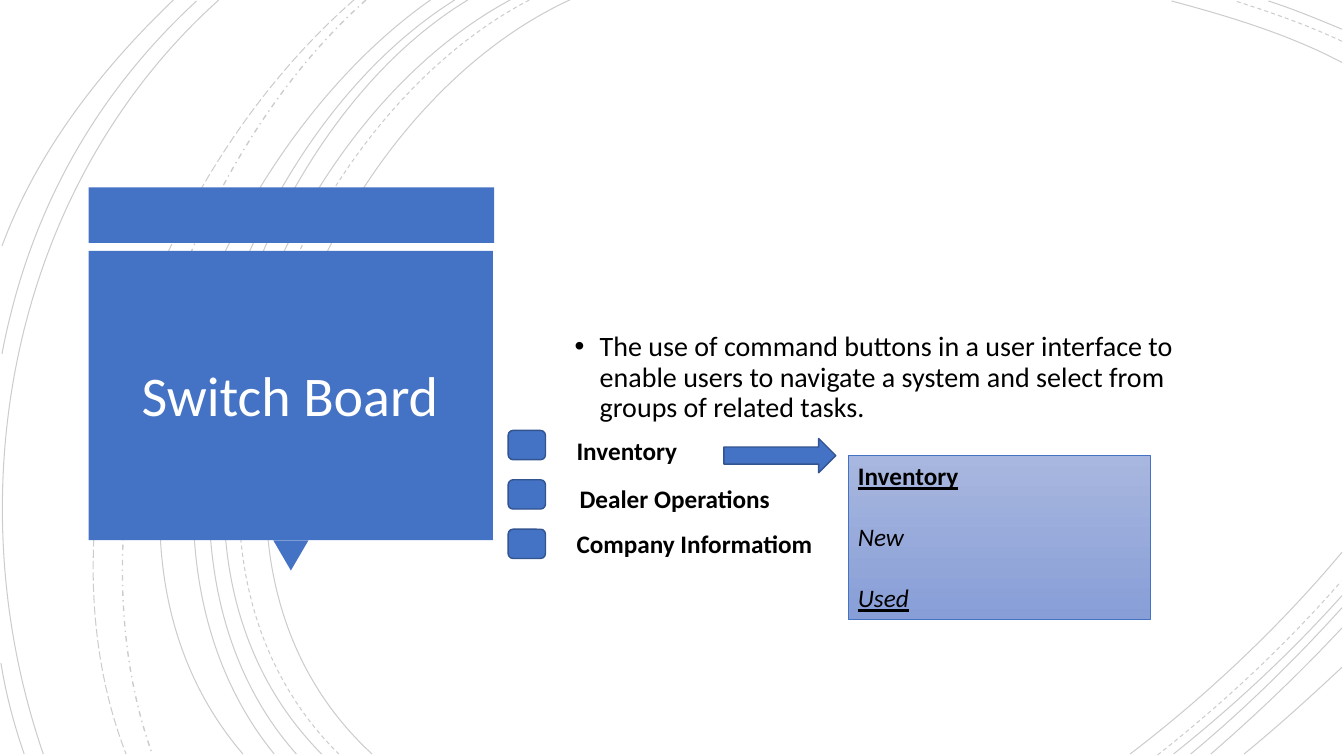
from lxml import etree
from pptx import Presentation
from pptx import util as u
from pptx.dml.color import RGBColor
from pptx.enum import dml, shapes, text
from pptx.oxml import ns

PX = 9144
FONT = "Calibri"
BLUE = RGBColor(0x44, 0x72, 0xC4)
EDGE = RGBColor(0x32, 0x54, 0x91)
PANEL_TOP = RGBColor(0xA8, 0xB7, 0xDF)
PANEL_END = RGBColor(0x88, 0x9E, 0xD7)
BLACK = RGBColor(0, 0, 0)
WHITE = RGBColor(0xFF, 0xFF, 0xFF)
SHAPE = shapes.MSO_SHAPE
DASH = dml.MSO_LINE

SOLID_ARCS = [
    (565, 0, 315, 115, 143, 540, 369, 748),
    (1331, 62, 1278, 34, 1218, 16, 1162, 1),
    (1121, 748, 1197, 690, 1269, 622, 1331, 548),
    (506, 0, 270, 127, 110, 537, 319, 748),
    (1331, 29, 1307, 19, 1283, 9, 1258, 1),
    (1164, 748, 1223, 701, 1280, 648, 1331, 591),
    (464, 0, 244, 133, 110, 541, 294, 748),
    (1181, 748, 1234, 704, 1284, 655, 1331, 603),
    (451, 0, 231, 138, 97, 533, 272, 748),
    (1201, 748, 1246, 709, 1290, 667, 1331, 623),
    (427, 0, 217, 147, 53, 529, 241, 748),
    (1234, 748, 1267, 721, 1299, 692, 1331, 662),
    (217, 0, 11, 185, -46, 490, 43, 748),
    (195, 1, 92, 96, 28, 214, 2, 351),
    (1, 658, 6, 689, 14, 719, 24, 748),
    (172, 0, 100, 69, 37, 150, 2, 244),
]
DASHED_ARCS = [
    (525, 0, 285, 125, 123, 537, 336, 748),
    (1331, 41, 1297, 25, 1260, 12, 1225, 1),
    (1148, 749, 1213, 698, 1275, 640, 1330, 577),
]
DASH_DOT_ARC = (363, 0, 176, 166, 65, 509, 151, 748)
LONG_DASH_ARC = (351, 0, 157, 169, 29, 499, 125, 748)


def box(*lengths):
    return [n * PX for n in lengths]


def add_arc(s, points, dash, width=0.75):
    start, *rest = zip(points[::2], points[1::2])
    builder = s.shapes.build_freeform(*start, scale=PX)
    builder.add_line_segments(rest, close=False)
    sp = builder.convert_to_shape()
    sp.shadow.inherit = False
    sp.fill.background()
    sp.line.color.rgb = BLACK
    sp.line.width = u.Pt(width)
    sp.line.dash_style = dash
    color = sp.line._ln.find(".//" + ns.qn("a:srgbClr"))
    etree.SubElement(color, ns.qn("a:alpha"), val="20000")
    outline = sp._element.find(".//" + ns.qn("a:path"))
    curve = etree.SubElement(outline, ns.qn("a:cubicBezTo"))
    for segment in outline.findall(ns.qn("a:lnTo")):
        curve.append(segment[0])
        outline.remove(segment)


def add_block(s, kind, place, edge=None, width=1):
    sp = s.shapes.add_shape(kind, *box(*place))
    sp.shadow.inherit = False
    sp.fill.solid()
    sp.fill.fore_color.rgb = BLUE
    if edge is None:
        sp.line.fill.background()
    else:
        sp.line.color.rgb = edge
        sp.line.width = u.Pt(width)
    return sp


def add_run(p, words, size, color=BLACK, bold=False, italic=False, underline=False):
    r = p.add_run()
    r.text = words
    r.font.name = FONT
    r.font.size = u.Pt(size)
    r.font.color.rgb = color
    r.font.bold = bold
    r.font.italic = italic
    r.font.underline = underline


def add_text(s, place):
    tf = s.shapes.add_textbox(*box(*place)).text_frame
    tf.word_wrap = True
    return tf


def add_title(s):
    title = s.shapes.title
    s.shapes._spTree.append(title._element)
    title.left, title.top, title.width, title.height = box(99, 264, 377, 262)
    tf = title.text_frame
    tf.word_wrap = True
    tf.auto_size = text.MSO_AUTO_SIZE.NONE
    tf.vertical_anchor = text.MSO_ANCHOR.MIDDLE
    p = tf.paragraphs[0]
    p.alignment = text.PP_ALIGN.CENTER
    p.line_spacing = 0.9
    add_run(p, "Switch Board", 40, WHITE)


def add_definition(s):
    tf = add_text(s, (560, 88, 687, 574))
    tf.vertical_anchor = text.MSO_ANCHOR.MIDDLE
    p = tf.paragraphs[0]
    p.line_spacing = 0.9
    p.space_before = u.Pt(10)
    pPr = p._p.get_or_add_pPr()
    pPr.set("marL", str(25 * PX))
    pPr.set("indent", str(-25 * PX))
    etree.SubElement(pPr, ns.qn("a:buFont"), typeface="Arial")
    etree.SubElement(pPr, ns.qn("a:buChar"), char="•")
    add_run(p, "The use of command buttons in a user interface to enable users "
               "to navigate a system and select from groups of related tasks.", 20)


def add_menu(s):
    labels = [("Inventory", 562, 427, 157), ("Dealer Operations", 565, 475, 211),
              ("Company Informatiom", 562, 519, 268)]
    for i, (label, left, top, width) in enumerate(labels):
        add_block(s, SHAPE.FLOWCHART_ALTERNATE_PROCESS, (504, 427 + 49 * i, 37, 29), EDGE)
        tf = add_text(s, (left, top, width, 40))
        add_run(tf.paragraphs[0], label, 18, bold=True)
    add_block(s, SHAPE.RIGHT_ARROW, (718, 435, 111, 34), EDGE)


def add_panel(s):
    sp = add_block(s, SHAPE.RECTANGLE, (841, 452, 300, 162), BLUE, 0.5)
    sp.fill.gradient()
    sp.fill.gradient_angle = 270
    for stop, color in zip(sp.fill.gradient_stops, (PANEL_TOP, PANEL_END)):
        stop.color.rgb = color
    tf = sp.text_frame
    tf.word_wrap = True
    tf.vertical_anchor = text.MSO_ANCHOR.TOP
    entries = [("Inventory", True, False, True), ("New", False, True, False),
               ("Used", False, True, True)]
    for i, (words, bold, italic, underline) in enumerate(entries):
        p = tf.add_paragraph() if i else tf.paragraphs[0]
        p.alignment = text.PP_ALIGN.LEFT
        p.space_before = u.Pt(22 if i else 0)
        add_run(p, words, 18, BLACK, bold, italic, underline)


def main():
    prs = Presentation()
    prs.slide_width, prs.slide_height = box(1333, 750)
    s = prs.slides.add_slide(prs.slide_layouts[5])
    for points in SOLID_ARCS:
        add_arc(s, points, DASH.SOLID)
    for points in DASHED_ARCS:
        add_arc(s, points, DASH.DASH)
    add_arc(s, DASH_DOT_ARC, DASH.DASH_DOT, 1)
    add_arc(s, LONG_DASH_ARC, DASH.LONG_DASH)
    add_block(s, SHAPE.RECTANGLE, (88, 186, 402, 55))
    add_block(s, SHAPE.ISOSCELES_TRIANGLE, (271, 536, 35, 30)).rotation = 180
    add_block(s, SHAPE.RECTANGLE, (88, 249, 401, 287))
    add_title(s)
    add_definition(s)
    add_menu(s)
    add_panel(s)
    prs.save("out.pptx")


if __name__ == "__main__":
    main()
